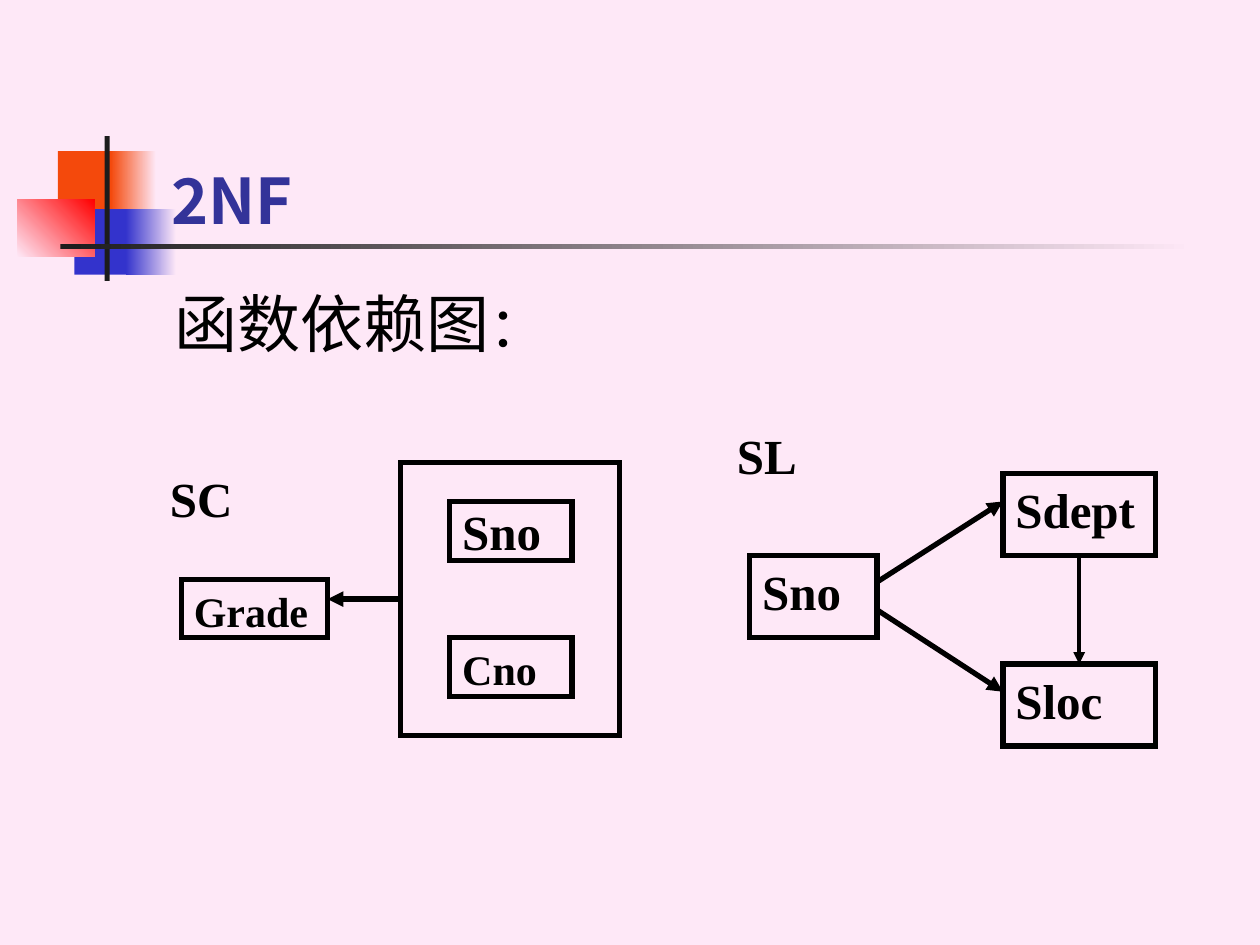
import pptx
import pptx.dml.color
import pptx.enum.shapes
import pptx.enum.text
import pptx.oxml
import pptx.oxml.ns
import pptx.util
from pptx.util import Inches

COLORS = {
    "background": "FEE8F7",
    "orange": "F4490C",
    "blue": "3333CC",
    "red": "FF0000",
    "rule": "1C1C1C",
    "title": "333399",
    "ink": "000000",
}
HEADING_FONT = "Noto Sans CJK SC"
DIAGRAM_FONT = "Times New Roman"


def rgb(name):
    """Return the named colour."""
    return pptx.dml.color.RGBColor.from_string(COLORS[name])


def drawing_element(tag, attributes=""):
    """Return an empty DrawingML element."""
    namespace = pptx.oxml.ns.nsdecls("a")
    return pptx.oxml.parse_xml(f"<a:{tag} {namespace} {attributes}/>")


def add_box(slide, left, top, width, height):
    """Add a plain rectangle without fill, line or shadow."""
    box = slide.shapes.add_shape(
        pptx.enum.shapes.MSO_SHAPE.RECTANGLE,
        Inches(left), Inches(top), Inches(width), Inches(height))
    box.shadow.inherit = False
    box.fill.background()
    box.line.fill.background()
    return box


def add_block(slide, left, top, width, height, start, end=None, angle=0):
    """Add a decorative block, solid or fading from start to end."""
    fill = add_box(slide, left, top, width, height).fill
    if end is None:
        fill.solid()
        fill.fore_color.rgb = rgb(start)
        return
    fill.gradient()
    fill.gradient_angle = angle
    for stop, name in zip(fill.gradient_stops, (start, end)):
        stop.color.rgb = rgb(name)


def style_run(run, size, font, color="ink", bold=False):
    """Set the font of a run for Latin and East Asian text."""
    run.font.size = pptx.util.Pt(size)
    run.font.name = font
    run.font.bold = bold
    run.font.color.rgb = rgb(color)
    run.font._element.find(pptx.oxml.ns.qn("a:latin")).addnext(
        drawing_element("ea", f'typeface="{font}"'))


def add_text(slide, left, top, width, height):
    """Add an empty wrapping text box and return its frame."""
    frame = slide.shapes.add_textbox(
        Inches(left), Inches(top), Inches(width), Inches(height)).text_frame
    frame.word_wrap = True
    return frame


def write_label(frame, text, size, inset=0.05):
    """Write a bold diagram label at the top left of a frame."""
    frame.word_wrap = True
    frame.vertical_anchor = pptx.enum.text.MSO_ANCHOR.TOP
    frame.margin_top = frame.margin_bottom = Inches(inset)
    label = frame.paragraphs[0]
    label.text = text
    label.alignment = pptx.enum.text.PP_ALIGN.JUSTIFY
    style_run(label.runs[0], size, DIAGRAM_FONT, bold=True)


def add_node(slide, left, top, width, height, text="", size=28, inset=0.05):
    """Add an outlined attribute box with an optional label."""
    node = add_box(slide, left, top, width, height)
    node.line.color.rgb = rgb("ink")
    node.line.width = pptx.util.Pt(3)
    node.line._get_or_add_ln().append(drawing_element("miter", 'lim="800000"'))
    if text:
        write_label(node.text_frame, text, size, inset)
    return node


def add_arrow(slide, start, end, weight=3):
    """Add a straight dependency arrow between two points in inches."""
    arrow = slide.shapes.add_connector(
        pptx.enum.shapes.MSO_CONNECTOR.STRAIGHT,
        *(Inches(value) for value in (*start, *end)))
    arrow.line.color.rgb = rgb("ink")
    arrow.line.width = pptx.util.Pt(weight)
    arrow.line._get_or_add_ln().append(
        drawing_element("tailEnd", 'type="triangle"'))
    arrow._element.spPr.append(drawing_element("effectLst"))
    return arrow


def add_ornament(slide, left, top):
    """Draw the coloured blocks and the crossing rules."""
    add_block(slide, left + 0.32, top + 0.12, 0.48, 0.52, "orange")
    add_block(slide, left + 0.74, top + 0.12, 0.36, 0.52, "orange", "background")
    add_block(slide, left + 0.45, top + 0.58, 0.46, 0.52, "blue")
    add_block(slide, left + 0.86, top + 0.58, 0.4, 0.52, "blue", "background")
    add_block(slide, left, top + 0.5, 0.61, 0.46, "background", "red", 45)
    add_block(slide, left + 0.69, top, 0.04, 1.15, "rule")
    add_block(slide, left + 0.34, top + 0.86, 9, 0.04, "rule", "background")


def add_title(slide, left, top, width, height):
    """Write the slide title at the bottom of its box."""
    frame = add_text(slide, left, top, width, height)
    frame.vertical_anchor = pptx.enum.text.MSO_ANCHOR.BOTTOM
    title = frame.paragraphs[0]
    title.text = "2NF"
    style_run(title.runs[0], 36, HEADING_FONT, "title", True)


def add_body(slide, left, top, width, height):
    """Write the line that introduces the diagrams."""
    intro = add_text(slide, left, top, width, height).paragraphs[0]
    for text, size in (("函数依赖图", 36), ("：", 32)):
        run = intro.add_run()
        run.text = text
        style_run(run, size, HEADING_FONT)


def add_sc_diagram(slide, left, top):
    """Draw the SC relation, whose composite key determines Grade."""
    write_label(add_text(slide, left, top, 0.97, 0.46), "SC", 28)
    key = add_node(slide, left + 1.93, top, 1.74, 2.17)
    add_node(slide, left + 2.32, top + 0.31, 0.97, 0.47, "Sno", inset=0)
    add_node(slide, left + 2.32, top + 1.39, 0.97, 0.47, "Cno", 24)
    add_node(slide, left + 0.19, top + 0.93, 1.16, 0.46, "Grade", 24)
    middle = top + 2.17 / 2
    arrow = add_arrow(slide, (left + 1.93, middle), (left + 1.35, middle))
    arrow.begin_connect(key, 1)


def add_sl_diagram(slide, left, top):
    """Draw the SL relation with its transitive dependency."""
    write_label(add_text(slide, left, top, 1.21, 0.65), "SL", 28)
    add_node(slide, left + 0.2, top + 1.08, 1.01, 0.65, "Sno")
    sdept = add_node(slide, left + 2.21, top + 0.43, 1.21, 0.65, "Sdept")
    sloc = add_node(slide, left + 2.21, top + 1.94, 1.21, 0.65, "Sloc")
    for start, end in ((1.29, 0.65), (1.51, 2.16)):
        add_arrow(slide, (left + 1.21, top + start), (left + 2.21, top + end))
    center = left + 2.21 + 1.21 / 2
    arrow = add_arrow(slide, (center, top + 1.08), (center, top + 1.94), 2.25)
    arrow.begin_connect(sdept, 2)
    arrow.end_connect(sloc, 0)


def main():
    """Build the slide and save it."""
    deck = pptx.Presentation()
    deck.slide_width, deck.slide_height = Inches(10), Inches(7.5)
    slide = deck.slides.add_slide(deck.slide_layouts[6])
    slide.background.fill.solid()
    slide.background.fill.fore_color.rgb = rgb("background")
    add_ornament(slide, 0.14, 1.08)
    add_title(slide, 1.26, 0.68, 8.52, 1.25)
    add_body(slide, 1.29, 2.21, 8.5, 4.5)
    add_sc_diagram(slide, 1.25, 3.67)
    add_sl_diagram(slide, 5.75, 3.33)
    deck.save("out.pptx")


if __name__ == "__main__":
    main()
